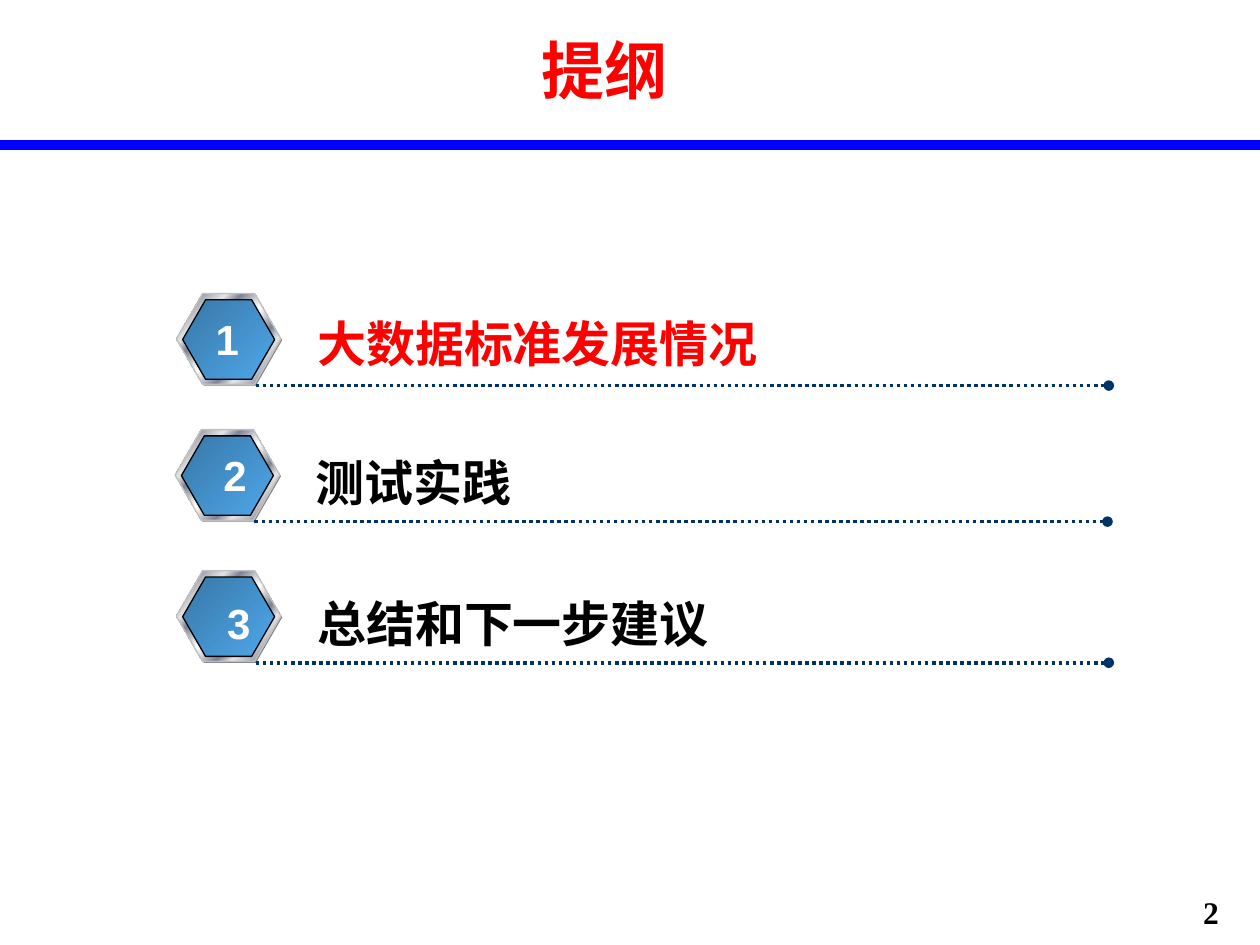
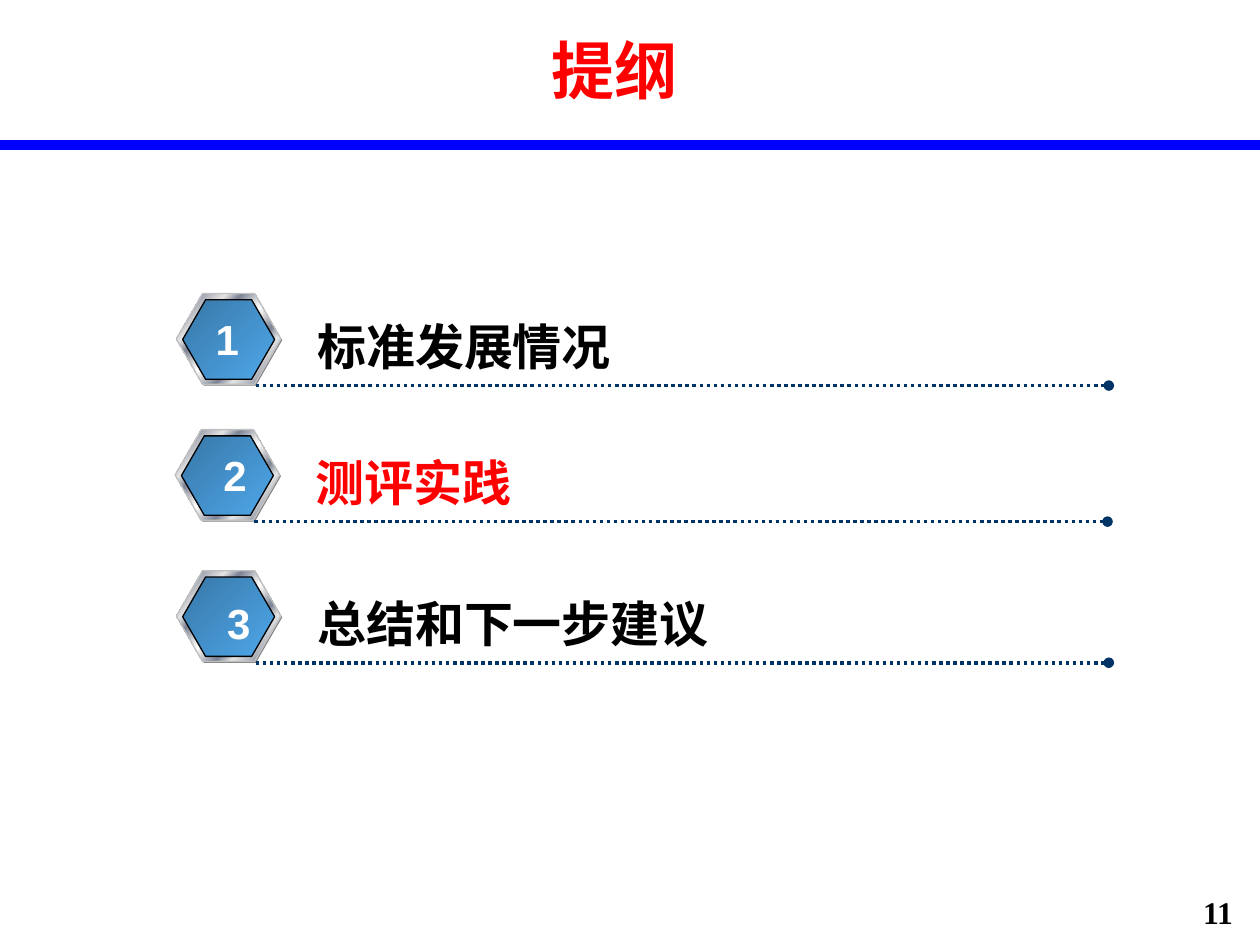
from lxml import etree
from pptx import Presentation
from pptx import util as u
from pptx.dml.color import RGBColor
from pptx.enum import dml, shapes, text
from pptx.oxml.ns import qn

RED, BLACK, WHITE = "FF0000", "000000", "FFFFFF"
BAND_BLUE, NAVY, SHADOW_GRAY, RIM_GRAY = "0000FF", "003366", "808080", "C0C0C0"
CHINESE, LATIN, SERIF = "Noto Sans CJK SC", "Arial", "Times New Roman"
LIGHT, STEEL = "E6E6E6", "7D8496"
METAL = [(0, LIGHT), (8, STEEL), (26, LIGHT), (34, STEEL), (46, LIGHT), (50, WHITE),
         (54, LIGHT), (66, STEEL), (74, LIGHT), (92, STEEL), (100, LIGHT)]
BLUE_FACE = [(0, "3877A7"), (100, "4EA7EA")]

BADGES = [
    {"left": 1.4, "top": 2.33, "number_at": (0.21, 0.11)},
    {"left": 1.39, "top": 3.41, "number_at": (0.28, 0.11)},
    {"left": 1.4, "top": 4.53, "number_at": (0.3, 0.16)},
]
OUTLINES = [
    {"page": 2, "title_width": 9.06, "current": 0, "topics": [
        ("大数据标准发展情况", 3.74, 0.11), ("测试实践", 1.77, 0.13),
        ("总结和下一步建议", 3.34, 0.13)]},
    {"page": 11, "title_width": 9.21, "current": 1, "topics": [
        ("标准发展情况", 2.56, 0.13), ("测评实践", 1.77, 0.13),
        ("总结和下一步建议", 3.34, 0.13)]},
]


def color(hex_code):
    return RGBColor.from_string(hex_code)


def add_text(slide, words, left, top, width, height, size, font, hex_code,
             align=text.PP_ALIGN.LEFT, anchor=text.MSO_ANCHOR.TOP, wrap=True):
    box = slide.shapes.add_textbox(*map(u.Inches, (left, top, width, height)))
    frame = box.text_frame
    frame.word_wrap = wrap
    frame.vertical_anchor = anchor
    if not wrap:
        frame.auto_size = text.MSO_AUTO_SIZE.SHAPE_TO_FIT_TEXT
    paragraph = frame.paragraphs[0]
    paragraph.alignment = align
    run = paragraph.add_run()
    run.text = words
    run.font.size = u.Pt(size)
    run.font.bold = True
    run.font.color.rgb = color(hex_code)
    run.font.name = font
    etree.SubElement(run.font._element, qn("a:ea"), typeface=font)


def add_line(slide, left, right, y, hex_code, weight):
    line = slide.shapes.add_connector(
        shapes.MSO_CONNECTOR.STRAIGHT, *map(u.Inches, (left, y, right, y)))
    line.line.color.rgb = color(hex_code)
    line.line.width = u.Pt(weight)
    etree.SubElement(line._element.spPr, qn("a:effectLst"))
    return line


def add_dotted_rule(slide, left, right, y):
    rule = add_line(slide, left, right, y, NAVY, 2)
    rule.line.dash_style = dml.MSO_LINE.ROUND_DOT
    etree.SubElement(rule.line._get_or_add_ln(), qn("a:tailEnd"), type="oval")


def fill_gradient(shape, stops):
    shape.fill.gradient()
    gradient = shape._element.spPr.find(qn("a:gradFill"))
    stop_list = gradient.find(qn("a:gsLst"))
    for old_stop in list(stop_list):
        stop_list.remove(old_stop)
    for percent, hex_code in stops:
        stop = etree.SubElement(stop_list, qn("a:gs"), pos=str(percent * 1000))
        etree.SubElement(stop, qn("a:srgbClr"), val=hex_code)
    shape.fill.gradient_angle = 315


def add_hexagon(group, left, top, width, height, fill, outline=None):
    hexagon = group.shapes.add_shape(
        shapes.MSO_SHAPE.HEXAGON, *map(u.Inches, (left, top, width, height)))
    hexagon.adjustments[0] = 0.289
    hexagon.adjustments[1] = 1.155
    hexagon.shadow.inherit = False
    if isinstance(fill, str):
        hexagon.fill.solid()
        hexagon.fill.fore_color.rgb = color(fill)
    else:
        fill_gradient(hexagon, fill)
    if outline:
        hexagon.line.color.rgb = color(outline)
        hexagon.line.width = u.Pt(0.75)
    else:
        hexagon.line.fill.background()


def add_badge(slide, number, left, top, number_at):
    group = slide.shapes.add_group_shape()
    add_hexagon(group, left + 0.01, top + 0.01, 0.83, 0.72, SHADOW_GRAY)
    add_hexagon(group, left, top, 0.83, 0.72, METAL, RIM_GRAY)
    add_hexagon(group, left + 0.05, top + 0.05, 0.73, 0.63, BLUE_FACE, BLACK)
    add_text(slide, str(number), left + number_at[0], top + number_at[1], 0.39, 0.5,
             24, LATIN, WHITE, align=text.PP_ALIGN.CENTER, wrap=False)


def add_topic(slide, number, badge, topic, is_current):
    left, top = badge["left"], badge["top"]
    words, width, drop = topic
    add_badge(slide, number, **badge)
    add_text(slide, words, left + 1.02, top + drop, width, 0.57,
             28, CHINESE, RED if is_current else BLACK, wrap=False)
    add_dotted_rule(slide, left + 0.63, left + 7.4, top + 0.73)


def add_page_frame(slide, page, title_width):
    add_line(slide, 0, 10, 1.15, BAND_BLUE, 6)
    add_text(slide, str(page), 9.45, 7.04, 0.55, 0.36, 18, SERIF, BLACK)
    add_text(slide, "提纲", 0.27, 0.08, title_width, 0.94, 36, CHINESE, RED,
             align=text.PP_ALIGN.CENTER, anchor=text.MSO_ANCHOR.MIDDLE)


def main():
    deck = Presentation()
    deck.slide_width, deck.slide_height = u.Inches(10), u.Inches(7.5)
    for outline in OUTLINES:
        slide = deck.slides.add_slide(deck.slide_layouts[6])
        add_page_frame(slide, outline["page"], outline["title_width"])
        for index, (badge, topic) in enumerate(zip(BADGES, outline["topics"])):
            add_topic(slide, index + 1, badge, topic, index == outline["current"])
    deck.save("out.pptx")


if __name__ == "__main__":
    main()
